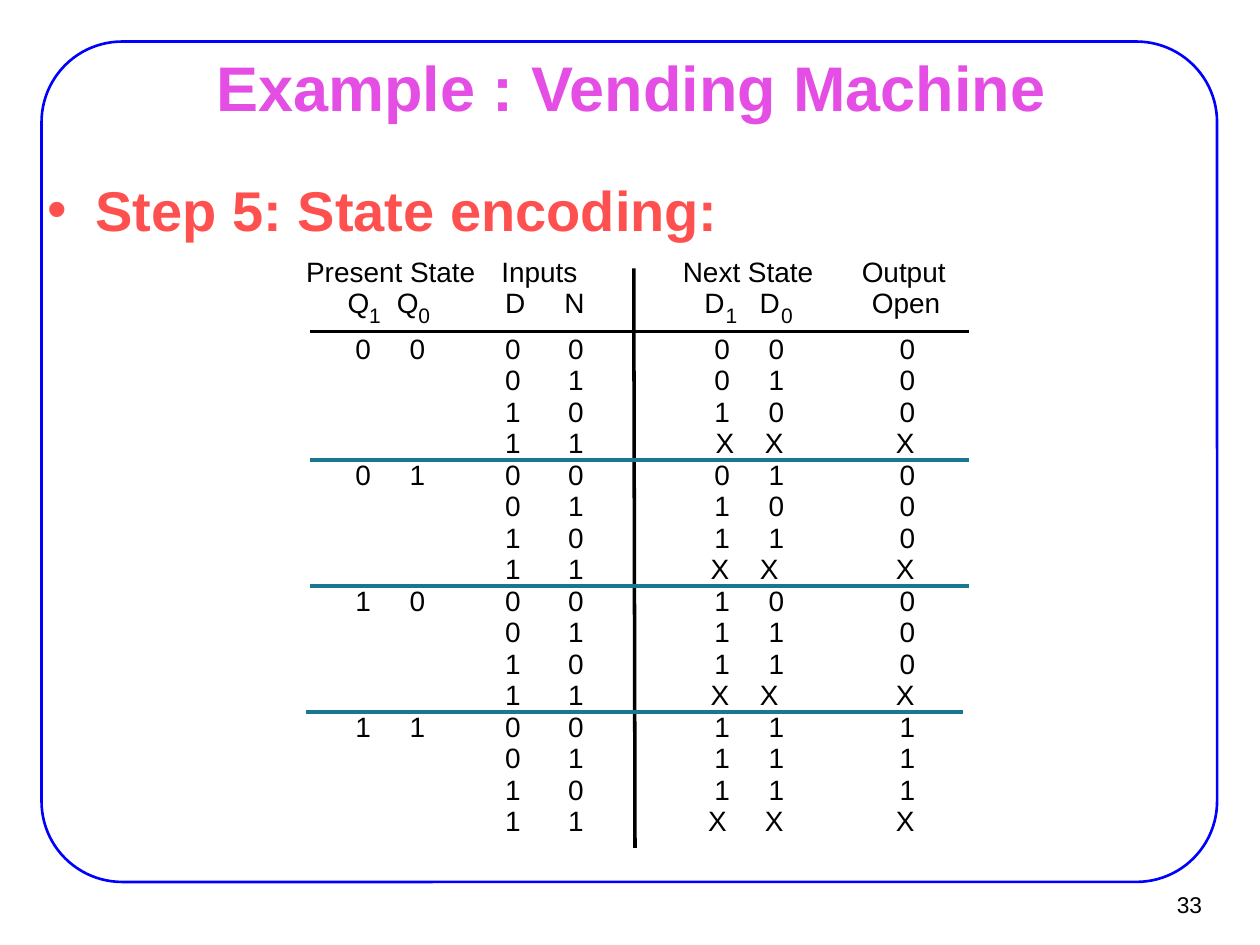
from itertools import product

from lxml.etree import SubElement
from pptx import Presentation
from pptx.dml.color import RGBColor
from pptx.enum.shapes import MSO_CONNECTOR, MSO_SHAPE
from pptx.enum.text import MSO_ANCHOR, PP_ALIGN
from pptx.oxml.ns import qn
from pptx.util import Inches, Pt

BLACK = RGBColor(0x00, 0x00, 0x00)
BLUE = RGBColor(0x00, 0x00, 0xFF)
PINK = RGBColor(0xE4, 0x4E, 0xE4)
RED = RGBColor(0xFF, 0x50, 0x50)
TEAL = RGBColor(0x19, 0x78, 0x8F)

ROW_TOP, ROW_STEP = 2.63, 0.25
HEADINGS = [
    ("Present State", 2.43, 2.02, 1.41), ("Inputs", 3.98, 2.02, 0.67),
    ("Next State", 5.42, 2.02, 1.1), ("Output", 6.84, 2.02, 0.73),
    ("D", 4.01, 2.27, 0.22), ("N", 4.48, 2.27, 0.22), ("Open", 6.92, 2.27, 0.61),
]
SUBSCRIPTED = [("Q", "1", 2.76), ("Q", "0", 3.15), ("D", "1", 5.59), ("D", "0", 6.03)]
COLUMNS = {"Q1": 2.82, "Q0": 3.25, "D": 4.01, "N": 4.51, "D1": 5.67, "D0": 6.1, "Open": 7.14}
NEXT_X_LEFTS = {3: (5.68, 6.07), 7: (5.64, 6.03), 11: (5.64, 6.03), 15: (5.62, 6.07)}
OUTPUT_X_LEFT = 7.11
OUTCOMES = ["000", "010", "100", "XXX", "010", "100", "110", "XXX",
            "100", "110", "110", "XXX", "111", "111", "111", "XXX"]


def write(tf, text, size=16, color=BLACK, bold=False, align=PP_ALIGN.LEFT):
    p = tf.paragraphs[0]
    p.alignment = align
    r = p.add_run()
    r.text = text
    r.font.name = "Arial"
    r.font.size = Pt(size)
    r.font.bold = bold
    r.font.color.rgb = color
    return p


class SlideBuilder:
    """Draws styled elements on one slide."""

    def __init__(self, s):
        self.s = s

    def frame(self, x, y, w, h):
        sp = self.s.shapes.add_shape(
            MSO_SHAPE.ROUNDED_RECTANGLE, Inches(x), Inches(y), Inches(w), Inches(h))
        sp.adjustments[0] = 0.096
        sp.shadow.inherit = False
        sp.fill.background()
        sp.line.color.rgb = BLUE
        sp.line.width = Pt(1.5)

    def text(self, text, x, y, w, h=0.27, inset=(0, 0), anchor=MSO_ANCHOR.TOP, **style):
        sp = self.s.shapes.add_textbox(Inches(x), Inches(y), Inches(w), Inches(h))
        tf = sp.text_frame
        tf.word_wrap = True
        tf.vertical_anchor = anchor
        tf.margin_left = tf.margin_right = Inches(inset[0])
        tf.margin_top = tf.margin_bottom = Inches(inset[1])
        return write(tf, text, **style)

    def bullet(self, text, x, y, w, h, **style):
        p = self.text(text, x, y, w, h, **style)
        p.space_before = Pt(6.4)
        pPr = p._p.get_or_add_pPr()
        pPr.set("marL", str(Inches(0.38)))
        pPr.set("indent", str(-Inches(0.38)))
        SubElement(pPr, qn("a:buFont")).set("typeface", "Arial")
        SubElement(pPr, qn("a:buChar")).set("char", "•")

    def line(self, x1, y1, x2, y2, color=BLACK):
        sp = self.s.shapes.add_connector(
            MSO_CONNECTOR.STRAIGHT, Inches(x1), Inches(y1), Inches(x2), Inches(y2))
        sp.line.color.rgb = color
        sp.line.width = Pt(2)
        SubElement(sp._element.spPr, qn("a:effectLst"))

    def row(self, i, bits, outcome):
        lefts = dict(COLUMNS)
        if outcome == "XXX":
            lefts["D1"], lefts["D0"] = NEXT_X_LEFTS[i]
            lefts["Open"] = OUTPUT_X_LEFT
        for (name, left), value in zip(lefts.items(), bits + outcome):
            if name in ("Q1", "Q0") and i % 4:
                continue
            self.text(value, left, ROW_TOP + i * ROW_STEP, 0.21)


def main():
    prs = Presentation()
    prs.slide_width, prs.slide_height = Inches(10), Inches(7.5)
    b = SlideBuilder(prs.slides.add_slide(prs.slide_layouts[6]))

    b.frame(0.33, 0.33, 9.33, 6.67)
    b.text("33", 9.02, 6.99, 0.61, 0.37, inset=(0.09, 0.04), anchor=MSO_ANCHOR.MIDDLE,
           size=13, align=PP_ALIGN.RIGHT)
    b.text("Example : Vending Machine", 0.76, 0.44, 8.5, 0.49, inset=(0.11, 0.06),
           anchor=MSO_ANCHOR.MIDDLE, size=36, color=PINK, bold=True, align=PP_ALIGN.CENTER)
    b.bullet("Step 5: State encoding:", 0.27, 1.33, 8.5, 1.94, inset=(0.11, 0.06),
             size=32, color=RED, bold=True)

    for heading in HEADINGS:
        b.text(*heading)
    for letter, index, left in SUBSCRIPTED:
        b.text(letter, left, 2.27, 0.24)
        b.text(index, left + 0.17, 2.4, 0.14, 0.2, size=12)
    for i, (bits, outcome) in enumerate(zip(product("01", repeat=4), OUTCOMES)):
        b.row(i, "".join(bits), outcome)

    b.line(2.46, 2.63, 7.69, 2.63)
    b.line(5.03, 2.13, 5.04, 6.73)
    for y, left, right in [(3.65, 2.46, 7.69), (4.65, 2.46, 7.69), (5.65, 2.43, 7.64)]:
        b.line(left, y, right, y, TEAL)

    prs.save("out.pptx")


if __name__ == "__main__":
    main()
